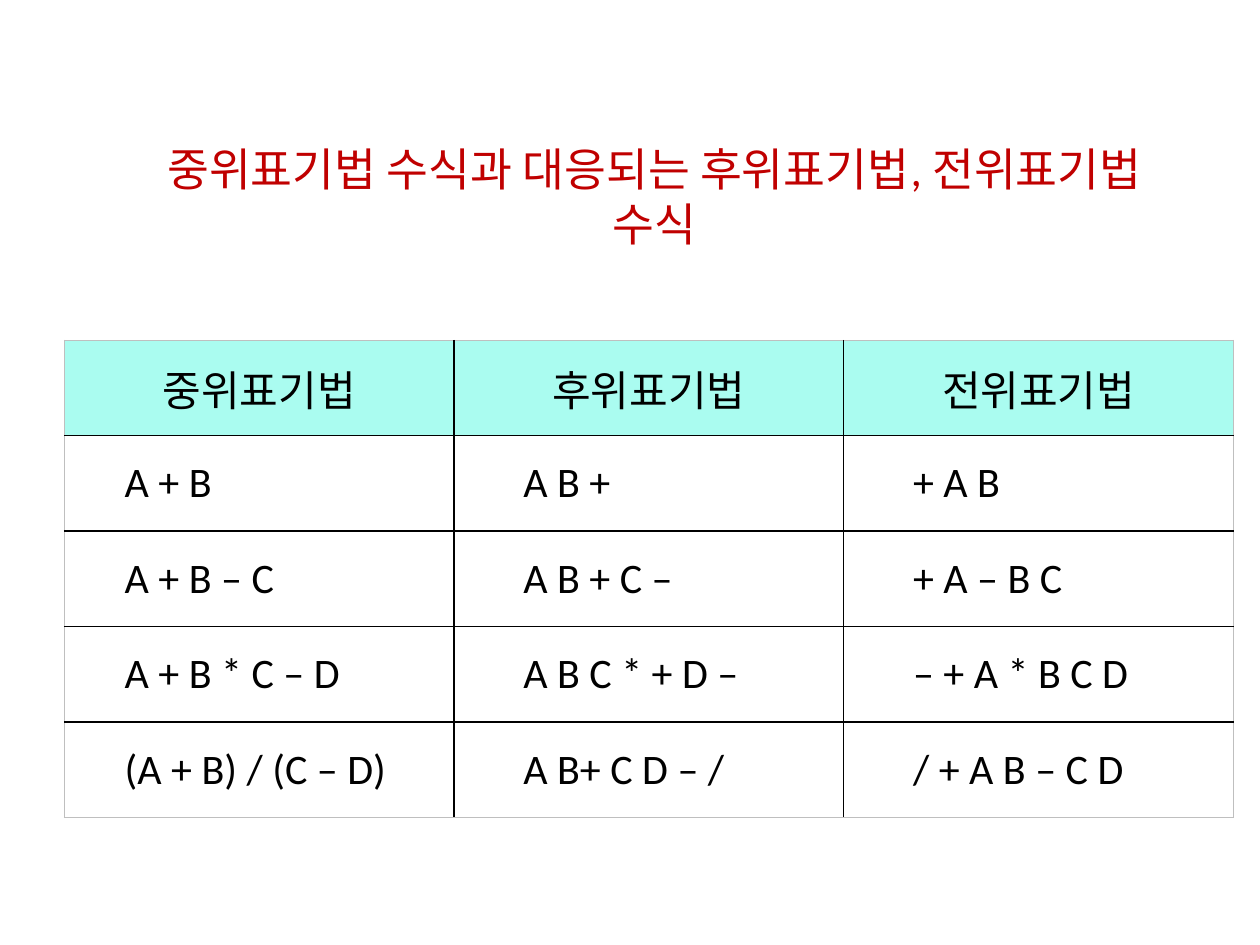
from lxml.etree import SubElement
from pptx import Presentation
from pptx.dml.color import RGBColor
from pptx.enum.text import MSO_ANCHOR, MSO_AUTO_SIZE, PP_ALIGN
from pptx.oxml.ns import qn
from pptx.util import Inches, Pt

TITLE = "중위표기법 수식과 대응되는 후위표기법, 전위표기법 수식"
ROWS = [
    ("중위표기법", "후위표기법", "전위표기법"),
    ("A + B", "A B +", "+ A B"),
    ("A + B – C", "A B + C –", "+ A – B C"),
    ("A + B * C – D", "A B C * + D –", "– + A * B C D"),
    ("(A + B) / (C – D)", "A B+ C D – /", "/ + A B – C D"),
]
COLORS = {"title": "C00000", "text": "000000", "header": "AAFCF0",
          "inner": "000000", "outer": "BFBFBF"}
FONT = "Calibri"
INDENTS = (0.48, 0.55, 0.55)
TABLE_WIDTH, TABLE_HEIGHT = 9.28, 3.79


def add_text(para, text, size, color):
    span = para.add_run()
    span.text = text
    span.font.name = FONT
    span.font.size = Pt(size)
    span.font.color.rgb = RGBColor.from_string(COLORS[color])


def add_borders(cell, outer_sides):
    """Draw the four cell borders; call before the cell gets its fill."""
    properties = cell._tc.get_or_add_tcPr()
    for side in ("L", "R", "T", "B"):
        outer = side in outer_sides
        line = SubElement(properties, qn(f"a:ln{side}"), w=str(Pt(0.5 if outer else 1)))
        fill = SubElement(line, qn("a:solidFill"))
        SubElement(fill, qn("a:srgbClr"), val=COLORS["outer" if outer else "inner"])


deck = Presentation()
deck.slide_width, deck.slide_height = Inches(10), Inches(7.5)
page = deck.slides.add_slide(deck.slide_layouts[6])

# Notation table
row_count, column_count = len(ROWS), len(ROWS[0])
table = page.shapes.add_table(row_count, column_count, Inches(0.51), Inches(2.7),
                              Inches(TABLE_WIDTH), Inches(TABLE_HEIGHT)).table
table.first_row = table.horz_banding = False
for column in table.columns:
    column.width = Inches(TABLE_WIDTH / column_count)
for row in table.rows:
    row.height = Inches(TABLE_HEIGHT / row_count)

for r, texts in enumerate(ROWS):
    for c, text in enumerate(texts):
        cell = table.cell(r, c)
        edges = {"L": c == 0, "R": c == column_count - 1,
                 "T": r == 0, "B": r == row_count - 1}
        add_borders(cell, [side for side, outer in edges.items() if outer])
        cell.vertical_anchor = MSO_ANCHOR.MIDDLE
        para = cell.text_frame.paragraphs[0]
        if r == 0:
            cell.fill.solid()
            cell.fill.fore_color.rgb = RGBColor.from_string(COLORS["header"])
            para.alignment = PP_ALIGN.CENTER
        else:
            cell.fill.background()
            cell.margin_left = Inches(INDENTS[c])
        add_text(para, text, 24, "text")

# Title
box = page.shapes.add_textbox(Inches(1.11), Inches(1.07), Inches(8.17), Inches(0.98))
box.text_frame.word_wrap = True
box.text_frame.auto_size = MSO_AUTO_SIZE.SHAPE_TO_FIT_TEXT
para = box.text_frame.paragraphs[0]
para.alignment = PP_ALIGN.CENTER
add_text(para, TITLE, 26, "title")

deck.save("out.pptx")
